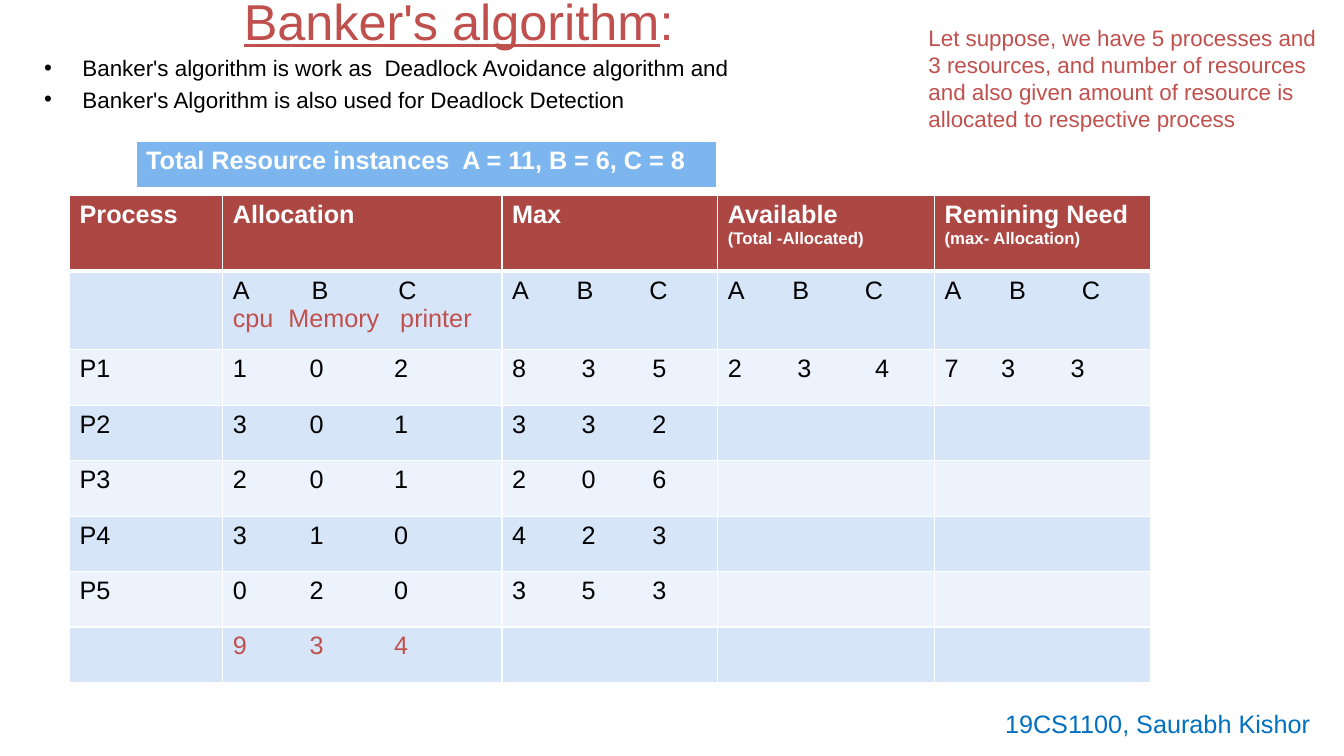
import dataclasses

import lxml.etree
import pptx
import pptx.dml.color
import pptx.enum.text
import pptx.oxml.ns
import pptx.util

Inches = pptx.util.Inches
Pt = pptx.util.Pt
qn = pptx.oxml.ns.qn


@dataclasses.dataclass(frozen=True)
class Theme:
    font: str = "Arial"
    title_size: int = 36
    body_size: int = 16
    table_size: int = 18
    caption_size: int = 12
    black: str = "000000"
    white: str = "FFFFFF"
    accent: str = "C0504D"
    header: str = "AC4744"
    band_dark: str = "D7E5F9"
    band_light: str = "ECF3FC"
    totals: str = "7DB6EF"
    author: str = "0070C0"


THEME = Theme()

COLUMNS = [1.52, 2.77, 2.14, 2.15, 2.14]
ROWS = [0.75, 0.78] + [0.55] * 6
HEADINGS = [
    ("Process", ""),
    ("Allocation", ""),
    ("Max", ""),
    ("Available", "(Total -Allocated)"),
    ("Remining Need", "(max- Allocation)"),
]
LETTER_STOPS = [(), (0.78, 1.64)] + [(0.64, 1.36)] * 3
VALUE_STOPS = [(), (0.76, 1.6), (0.69, 1.39), (0.69, 1.46), (0.56, 1.25)]
DEVICE_STOPS = (0.55, 1.66)
PROCESSES = [
    ("P1", "102", "835", "234", "733"),
    ("P2", "301", "332", "", ""),
    ("P3", "201", "206", "", ""),
    ("P4", "310", "423", "", ""),
    ("P5", "020", "353", "", ""),
]
ALLOCATED = "934"


def color(value):
    return pptx.dml.color.RGBColor.from_string(value)


def add_span(para, text, size, tint, bold=False, underline=False):
    span = para.add_run()
    span.text = text
    font = span.font
    font.name, font.size = THEME.font, Pt(size)
    font.bold, font.underline = bold, underline
    font.color.rgb = color(tint)


def add_text_frame(page, box):
    frame = page.shapes.add_textbox(*map(Inches, box)).text_frame
    frame.word_wrap = True
    return frame


def add_tab_stops(para, stops):
    tabs = lxml.etree.SubElement(para._p.get_or_add_pPr(), qn("a:tabLst"))
    for stop in stops:
        lxml.etree.SubElement(tabs, qn("a:tab"), pos=str(Inches(stop)), algn="l")


def add_spread(para, items, stops, tint=THEME.black):
    """Write the items in one line, each after the first at its tab stop."""
    add_tab_stops(para, stops)
    add_span(para, "\t".join(items), THEME.table_size, tint)


def paint_cell(cell, fill, bottom=1):
    cell.fill.solid()
    cell.fill.fore_color.rgb = color(fill)
    properties = cell._tc.get_or_add_tcPr()
    widths = {"a:lnL": 1, "a:lnR": 1, "a:lnT": 1, "a:lnB": bottom}
    for index, (side, width) in enumerate(widths.items()):
        line = lxml.etree.Element(qn(side), w=str(Pt(width)))
        paint = lxml.etree.SubElement(line, qn("a:solidFill"))
        lxml.etree.SubElement(paint, qn("a:srgbClr"), val=THEME.white)
        properties.insert(index, line)


def add_grid(page, box, columns, rows):
    frame = page.shapes.add_table(len(rows), len(columns), *map(Inches, box))
    table = frame.table
    table.first_row = table.horz_banding = False
    for column, width in zip(table.columns, columns):
        column.width = Inches(width)
    for row, height in zip(table.rows, rows):
        row.height = Inches(height)
    return table


def add_title(page, box):
    frame = add_text_frame(page, box)
    frame.vertical_anchor = pptx.enum.text.MSO_ANCHOR.MIDDLE
    frame.margin_top = frame.margin_bottom = 0
    para = frame.paragraphs[0]
    para.alignment = pptx.enum.text.PP_ALIGN.CENTER
    add_span(para, "Banker's algorithm", THEME.title_size, THEME.accent, underline=True)
    add_span(para, ":", THEME.title_size, THEME.accent)


def add_bullets(page, box, lines):
    frame = add_text_frame(page, box)
    for index, line in enumerate(lines):
        para = frame.add_paragraph() if index else frame.paragraphs[0]
        para.space_before = Pt(3.2)
        properties = para._p.get_or_add_pPr()
        properties.set("marL", str(Inches(0.38)))
        properties.set("indent", str(-Inches(0.38)))
        lxml.etree.SubElement(properties, qn("a:buFont"), typeface=THEME.font)
        lxml.etree.SubElement(properties, qn("a:buChar"), char="•")
        add_span(para, line, THEME.body_size, THEME.black)


def add_note(page, box, text, size, tint):
    frame = add_text_frame(page, box)
    add_span(frame.paragraphs[0], text, size, tint)


def add_totals(page, box):
    cell = add_grid(page, box, [box[2]], [box[3]]).cell(0, 0)
    paint_cell(cell, THEME.totals, bottom=3)
    add_span(cell.text_frame.paragraphs[0],
             "Total Resource instances  A = 11, B = 6, C = 8",
             THEME.table_size, THEME.white, bold=True)


def add_process_table(page, box):
    table = add_grid(page, box, COLUMNS, ROWS)
    bands = [THEME.band_light, THEME.band_dark]
    for row in range(len(ROWS)):
        for column in range(len(COLUMNS)):
            fill = bands[row % 2] if row else THEME.header
            paint_cell(table.cell(row, column), fill, 1 if row else 3)

    for column, (heading, caption) in enumerate(HEADINGS):
        frame = table.cell(0, column).text_frame
        add_span(frame.paragraphs[0], heading, THEME.table_size, THEME.white, bold=True)
        if caption:
            add_span(frame.add_paragraph(), caption, THEME.caption_size,
                     THEME.white, bold=True)

    for column in range(1, len(COLUMNS)):
        para = table.cell(1, column).text_frame.paragraphs[0]
        add_spread(para, "ABC", LETTER_STOPS[column])
    devices = table.cell(1, 1).text_frame.add_paragraph()
    add_spread(devices, ["cpu", "Memory", "printer"], DEVICE_STOPS, THEME.accent)

    for row, (process, *groups) in enumerate(PROCESSES, start=2):
        name = table.cell(row, 0).text_frame.paragraphs[0]
        add_span(name, process, THEME.table_size, THEME.black)
        for column, values in enumerate(groups, start=1):
            if values:
                para = table.cell(row, column).text_frame.paragraphs[0]
                add_spread(para, values, VALUE_STOPS[column])
    total = table.cell(len(ROWS) - 1, 1).text_frame.paragraphs[0]
    add_spread(total, ALLOCATED, VALUE_STOPS[1], THEME.accent)


def main():
    deck = pptx.Presentation()
    deck.slide_width, deck.slide_height = Inches(13.33), Inches(7.5)
    page = deck.slides.add_slide(deck.slide_layouts[6])
    add_title(page, (0.24, -0.09, 8.62, 0.58))
    add_bullets(page, (0.34, 0.49, 8.5, 0.75), [
        "Banker's algorithm is work as  Deadlock Avoidance algorithm and",
        "Banker's Algorithm is also used for Deadlock Detection",
    ])
    add_process_table(page, (0.69, 1.94, 10.72, 4.82))
    add_totals(page, (1.35, 1.4, 5.76, 0.47))
    add_note(page, (9.11, 0.19, 4.12, 1.45),
             "Let suppose, we have 5 processes and 3 resources, and number of "
             "resources and also given amount of resource is allocated to "
             "respective process", THEME.body_size, THEME.accent)
    add_note(page, (9.87, 6.98, 3.4, 0.4), "19CS1100, Saurabh Kishor",
             THEME.table_size, THEME.author)
    deck.save("out.pptx")


if __name__ == "__main__":
    main()
